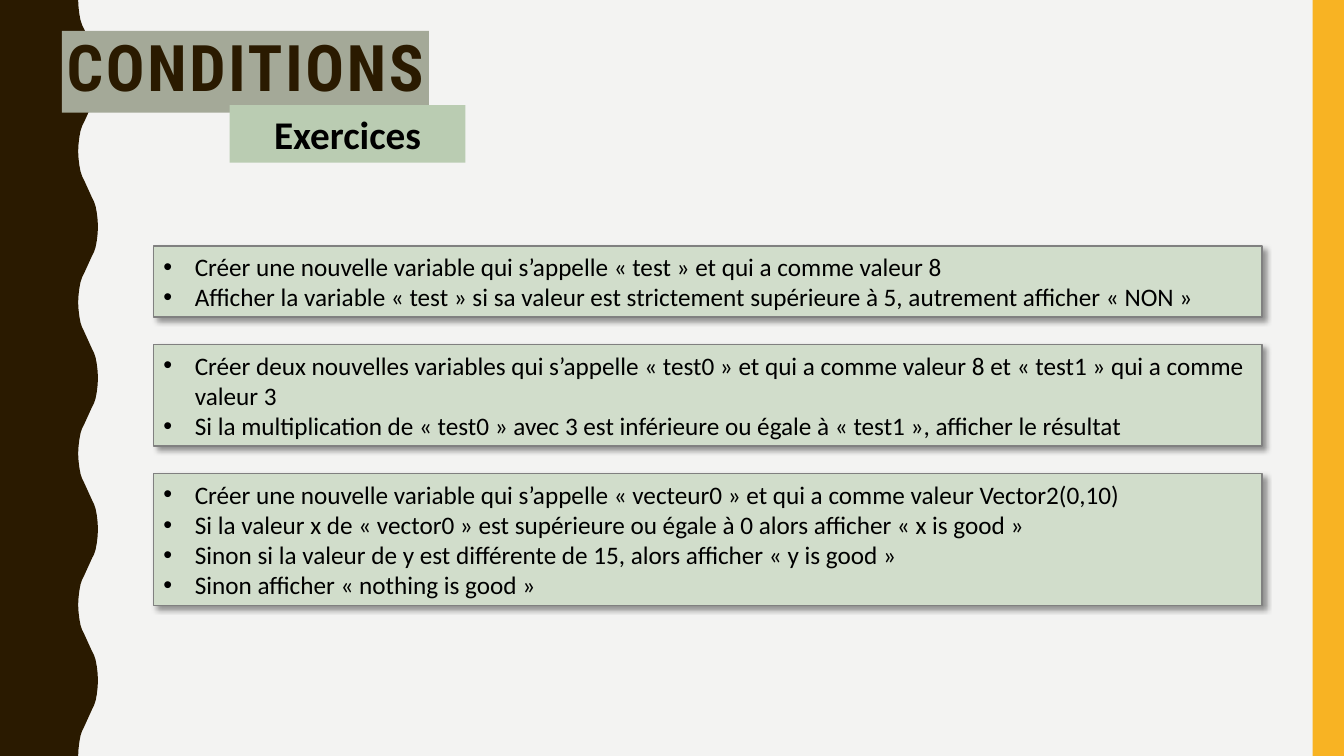
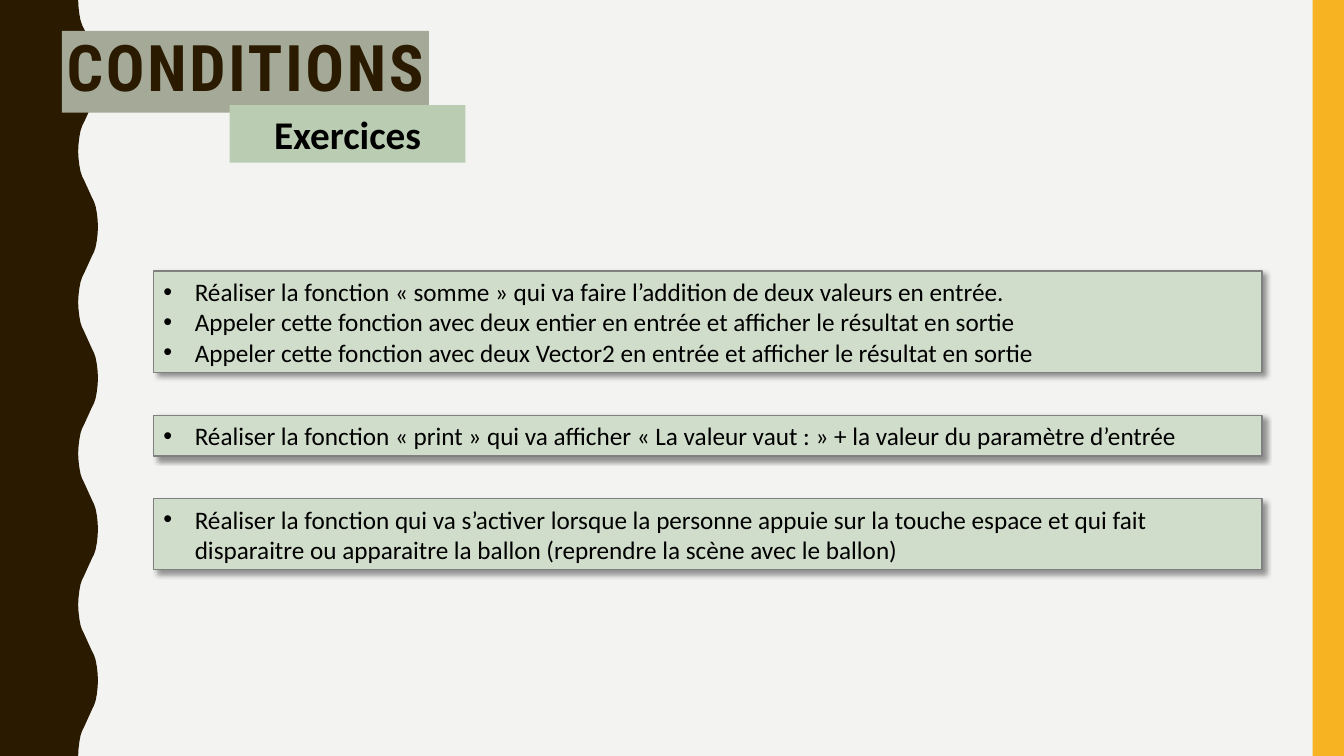
from lxml.etree import SubElement
from pptx import Presentation
from pptx.dml.color import RGBColor
from pptx.enum.shapes import MSO_SHAPE as Preset
from pptx.enum.text import MSO_ANCHOR as Anchor, PP_ALIGN as Align
from pptx.oxml.ns import qn
from pptx.util import Cm, Pt

COLORS = {
    "paper": "F3F3F2",
    "wave": "2A1A00",
    "edge": "F8B323",
    "title": "A4A998",
    "subtitle": "BACCB2",
    "exercise": "D1DDCB",
    "outline": "808080",
    "text": "000000",
}
WIDTH, HEIGHT = 33.87, 19.05

# Wave: one quarter of a ripple, as (down, out) steps from its midpoint
HALF_RIPPLES = 10
RIPPLE = HEIGHT / HALF_RIPPLES
WAVE_MIDDLE = 2.22
QUARTER = [(0.11, 0.05), (0.22, 0.1), (0.32, 0.15), (0.44, 0.19),
           (0.6, 0.22), (0.77, 0.24), (RIPPLE / 2, 0.25)]
RISE = [(-down, -out) for down, out in reversed(QUARTER)] + QUARTER

# Exercise boxes: height follows the number of text lines
BOX_LEFT, BOX_WIDTH = 3.87, 27.94
BOX_PADDING, LINE_HEIGHT = 0.25, 0.77
INDENT = Cm(0.79)

# Per slide: top of the first box, gap, and (text lines, bullets) of each box
SLIDES = [
    (6.2, 0.69, [
        (2, ["Créer une nouvelle variable qui s’appelle « test » et qui a comme valeur 8",
             "Afficher la variable « test » si sa valeur est strictement supérieure à 5, "
             "autrement afficher « NON »"]),
        (3, ["Créer deux nouvelles variables qui s’appelle « test0 » et qui a comme valeur 8 "
             "et « test1 » qui a comme valeur 3",
             "Si la multiplication de « test0 » avec 3 est inférieure ou égale à « test1 », "
             "afficher le résultat"]),
        (4, ["Créer une nouvelle variable qui s’appelle « vecteur0 » et qui a comme valeur "
             "Vector2(0,10)",
             "Si la valeur x de « vector0 » est supérieure ou égale à 0 alors afficher "
             "« x is good »",
             "Sinon si la valeur de y est différente de 15, alors afficher « y is good »",
             "Sinon afficher « nothing is good »"]),
    ]),
    (6.83, 1.08, [
        (3, ["Réaliser la fonction « somme » qui va faire l’addition de deux valeurs en entrée.",
             "Appeler cette fonction avec deux entier en entrée et afficher le résultat en sortie",
             "Appeler cette fonction avec deux Vector2 en entrée et afficher le résultat en sortie"]),
        (1, ["Réaliser la fonction « print » qui va afficher « La valeur vaut : » + la valeur "
             "du paramètre d’entrée"]),
        (2, ["Réaliser la fonction qui va s’activer lorsque la personne appuie sur la touche "
             "espace et qui fait disparaitre ou apparaitre la ballon (reprendre la scène avec "
             "le ballon)"]),
    ]),
]


def paint(shape, color):
    shape.shadow.inherit = False
    shape.fill.solid()
    shape.fill.fore_color.rgb = RGBColor.from_string(COLORS[color])
    shape.line.fill.background()


def add_panel(slide, box, fill, lines=(), font="Calibri", size=18, bold=False,
              color="text", align=Align.CENTER):
    panel = slide.shapes.add_shape(Preset.RECTANGLE, *[Cm(length) for length in box])
    paint(panel, fill)
    frame = panel.text_frame
    frame.word_wrap = True
    frame.vertical_anchor = Anchor.MIDDLE
    frame.text = "\n".join(lines)
    for paragraph in frame.paragraphs:
        paragraph.alignment = align
        for run in paragraph.runs:
            run.font.name = font
            run.font.size = Pt(size)
            run.font.bold = bold
            run.font.color.rgb = RGBColor.from_string(COLORS[color])
    return panel


prs = Presentation()
prs.slide_width, prs.slide_height = Cm(WIDTH), Cm(HEIGHT)
background = prs.slide_master.background.fill
background.solid()
background.fore_color.rgb = RGBColor.from_string(COLORS["paper"])

for top, gap, exercises in SLIDES:
    slide = prs.slides.add_slide(prs.slide_layouts[6])

    # Wavy band on the left, plain band on the right
    wave = slide.shapes.build_freeform(0, 0)
    ripples = [(Cm(WAVE_MIDDLE + (-1) ** half * out), Cm((half + 0.5) * RIPPLE + down))
               for half in range(HALF_RIPPLES) for down, out in RISE]
    wave.add_line_segments(ripples + [(0, Cm(HEIGHT))], close=True)
    paint(wave.convert_to_shape(), "wave")
    add_panel(slide, (33.08, 0, 0.79, HEIGHT), "edge")

    # Title on one line, without side margins, and subtitle
    title = add_panel(slide, (1.56, 0.78, 9.25, 2.06), "title", ["CONDITIONS"],
                      font="Roboto Condensed", size=45.9, bold=True, color="wave")
    title_frame = title.text_frame
    title_frame.word_wrap = False
    title_frame.margin_left = title_frame.margin_right = 0
    title_frame.vertical_anchor = Anchor.TOP
    heading = title_frame.paragraphs[0]
    heading.line_spacing = 0.9
    heading.runs[0].font._element.set("spc", "200")
    add_panel(slide, (5.79, 2.65, 5.94, 1.45), "subtitle", ["Exercices"], size=28, bold=True)

    # Exercises
    for line_count, bullets in exercises:
        height = BOX_PADDING + LINE_HEIGHT * line_count
        exercise = add_panel(slide, (BOX_LEFT, top, BOX_WIDTH, height), "exercise",
                             bullets, align=Align.LEFT)
        exercise.line.color.rgb = RGBColor.from_string(COLORS["outline"])
        exercise.line.width = Pt(1)
        effects = exercise._element.spPr.find(qn("a:effectLst"))
        shadow = SubElement(effects, qn("a:outerShdw"), blurRad=str(Pt(4)), dist=str(Pt(3)),
                            dir="2700000", algn="tl", rotWithShape="0")
        shade = SubElement(shadow, qn("a:srgbClr"), val=COLORS["text"])
        SubElement(shade, qn("a:alpha"), val="40000")
        for paragraph in exercise.text_frame.paragraphs:
            properties = paragraph._p.get_or_add_pPr()
            properties.set("marL", str(INDENT))
            properties.set("indent", str(-INDENT))
            SubElement(properties, qn("a:buFont"), typeface="Arial")
            SubElement(properties, qn("a:buChar"), char="•")
        top += height + gap

prs.save("out.pptx")
